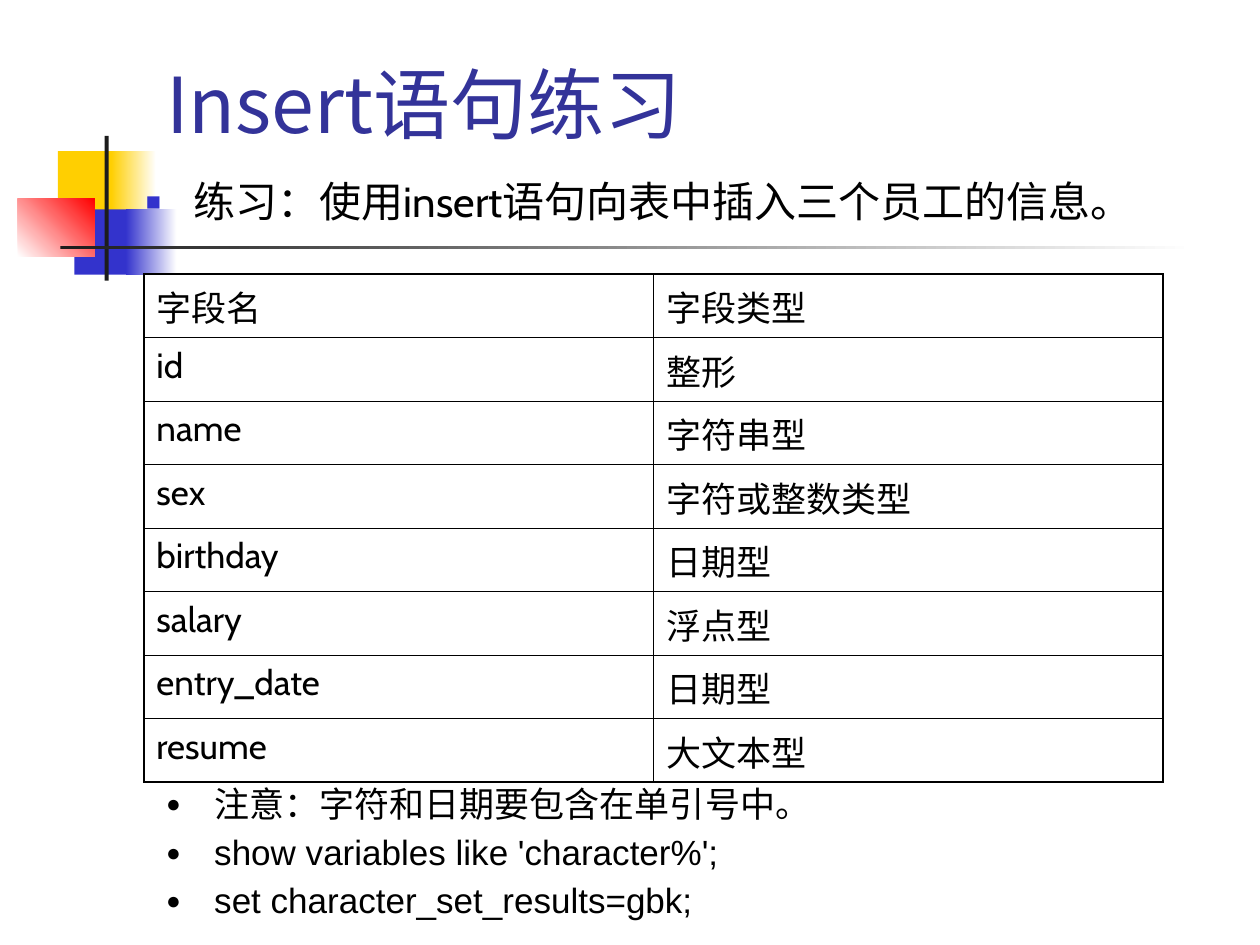
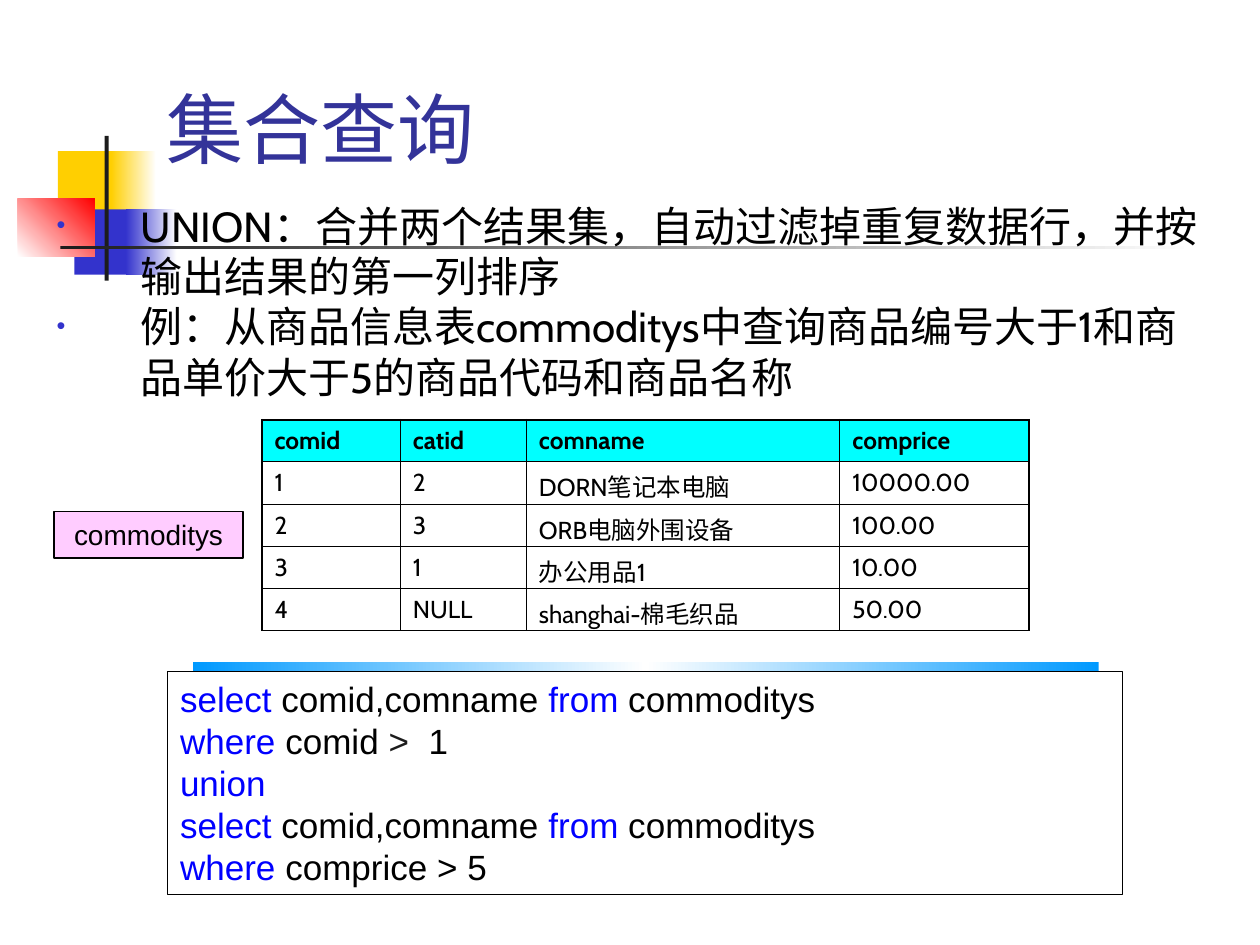
"""Build two SQL teaching slides: an insert exercise and a union query."""
import copy
import dataclasses

import lxml.etree
import pptx
import pptx.dml.color
import pptx.enum.shapes
import pptx.enum.text
import pptx.oxml.ns
import pptx.util

Cm = pptx.util.Cm
Pt = pptx.util.Pt
qn = pptx.oxml.ns.qn
ANCHOR = pptx.enum.text.MSO_ANCHOR
ALIGN = pptx.enum.text.PP_ALIGN


@dataclasses.dataclass(frozen=True)
class Theme:
    """Colours, fonts and type sizes of the deck."""
    ink: str = "000000"
    paper: str = "FFFFFF"
    dark: str = "1C1C1C"
    title: str = "333399"
    blue: str = "3333CC"
    gold: str = "FFCF01"
    red: str = "FF0000"
    key: str = "0000FF"
    sky: str = "0099FF"
    head: str = "00FFFF"
    pink: str = "FFCCFF"
    text: str = "Cabin"
    code: str = "Arial"
    cjk: str = "Noto Sans CJK SC"
    big: int = 44
    body: int = 24
    note: int = 20
    label: int = 16
    small: int = 14
    thick: float = 1.08
    thin: float = 0.45
    edge: float = 0.75


T = Theme()

DECOR = [
    ((1.17, 3.05, 1.22, 1.32), [T.gold], 0),
    ((2.24, 3.05, 0.91, 1.32), [T.gold, T.paper], 0),
    ((1.5, 4.22, 1.17, 1.32), [T.blue], 0),
    ((2.54, 4.22, 1.02, 1.32), [T.blue, T.paper], 0),
    ((0.36, 4.01, 1.55, 1.17), [T.paper, T.red], 45),
    ((2.11, 2.74, 0.08, 2.92), [T.dark], 0),
    ((1.22, 4.95, 22.86, 0.08), [T.dark, T.paper], 0),
]

TASK = ["练习：使用insert语句向表中插入三个员工的信息。"]
FIELDS = [
    ("字段名", "字段类型"),
    ("id", "整形"),
    ("name", "字符串型"),
    ("sex", "字符或整数类型"),
    ("birthday", "日期型"),
    ("salary", "浮点型"),
    ("entry_date", "日期型"),
    ("resume", "大文本型"),
]
NOTES = [
    "注意：字符和日期要包含在单引号中。",
    "show variables like 'character%';",
    "set character_set_results=gbk;",
]

UNION = [
    "UNION：合并两个结果集，自动过滤掉重复数据行，并按输出结果的第一列排序",
    "例：从商品信息表commoditys中查询商品编号大于1和商品单价大于5的商品代码和商品名称",
]
GOODS = [
    ("comid", "catid", "comname", "comprice"),
    ("1", "2", "DORN笔记本电脑", "10000.00"),
    ("2", "3", "ORB电脑外围设备", "100.00"),
    ("3", "1", "办公用品1", "10.00"),
    ("4", "NULL", "shanghai-棉毛织品", "50.00"),
]
SELECT = [("select", T.key), (" comid,comname ", T.ink),
          ("from", T.key), (" commoditys", T.ink)]
QUERY = [
    SELECT,
    [("where", T.key), (" comid ", T.ink), ("> ", T.dark), (" 1", T.ink)],
    [("union", T.key)],
    SELECT,
    [("where", T.key), (" comprice > 5", T.ink)],
]


def rgb(tone):
    """Turn a hex string into a colour."""
    return pptx.dml.color.RGBColor.from_string(tone)


def write(para, text, size, face, tone=T.ink, bold=False):
    """Add one run with its font."""
    run = para.add_run()
    run.text = text
    font = run.font
    font.size, font.name, font.bold = Pt(size), face, bold
    font.color.rgb = rgb(tone)
    east = lxml.etree.Element(qn("a:ea"), typeface=face)
    run._r.rPr.find(qn("a:latin")).addnext(east)


def lines(frame, count):
    """Yield the paragraphs of a frame, adding those it lacks."""
    for i in range(count):
        yield frame.add_paragraph() if i else frame.paragraphs[0]


def bullet(para, mark, tone, share, indent):
    """Give a paragraph a hanging bullet."""
    props = para._p.get_or_add_pPr()
    props.set("marL", str(Cm(indent)))
    props.set("indent", str(-Cm(indent)))
    add = lxml.etree.SubElement
    add(add(props, qn("a:buClr")), qn("a:srgbClr"), val=tone)
    add(props, qn("a:buSzPct"), val=str(share * 1000))
    add(props, qn("a:buFont"), typeface=T.code)
    add(props, qn("a:buChar"), char=mark)


def points(slide, box, items, look, size, face, lead=1.0, gap=0):
    """Add a text box of bulleted paragraphs."""
    frame = slide.shapes.add_textbox(*map(Cm, box)).text_frame
    frame.word_wrap = True
    for i, (para, item) in enumerate(zip(lines(frame, len(items)), items)):
        bullet(para, *look)
        para.line_spacing = lead
        para.space_before = Pt(gap if i else 0)
        write(para, item, size, face)


def block(slide, box, tones, angle=0, edge=None):
    """Add a rectangle with a plain or graded fill."""
    kind = pptx.enum.shapes.MSO_SHAPE.RECTANGLE
    shape = slide.shapes.add_shape(kind, *map(Cm, box))
    shape.shadow.inherit = False
    if edge:
        shape.line.color.rgb = rgb(edge)
        shape.line.width = Pt(T.edge)
    else:
        shape.line.fill.background()
    fill = shape.fill
    if len(tones) == 1:
        fill.solid()
        fill.fore_color.rgb = rgb(tones[0])
        return shape
    fill.gradient()
    fill.gradient_angle = angle
    stops = shape._element.spPr.find(".//" + qn("a:gsLst"))
    for _ in tones[2:]:
        stops.append(copy.deepcopy(stops[0]))
    for i, (stop, tone) in enumerate(zip(fill.gradient_stops, tones)):
        stop.position = i / (len(tones) - 1)
        stop.color.rgb = rgb(tone)
    return shape


def border(cell, widths):
    """Draw the four edges of a cell."""
    props = cell._tc.get_or_add_tcPr()
    for i, (side, width) in enumerate(zip("LRTB", widths)):
        edge = lxml.etree.Element(qn("a:ln" + side), w=str(Pt(width)))
        fill = lxml.etree.SubElement(edge, qn("a:solidFill"))
        lxml.etree.SubElement(fill, qn("a:srgbClr"), val=T.ink)
        props.insert(i, edge)


def grid(slide, left, top, wide, tall, rows, size, head=None):
    """Add a ruled table, lowering text that holds Chinese letters."""
    count, span = len(rows), len(wide)
    area = map(Cm, (left, top, sum(wide), tall * count))
    table = slide.shapes.add_table(count, span, *area).table
    table.first_row = table.horz_banding = False
    for col, width in zip(table.columns, wide):
        col.width = Cm(width)
    for r, row in enumerate(rows):
        table.rows[r].height = Cm(tall)
        for c, text in enumerate(row):
            cell = table.cell(r, c)
            cell.margin_top = Cm(0.13) + (0 if text.isascii() else Pt(size * 0.2))
            cell.margin_bottom = 0
            main = bool(head) and r == 0
            if main:
                cell.fill.solid()
                cell.fill.fore_color.rgb = rgb(head)
            else:
                cell.fill.background()
            outer = (c == 0, c == span - 1, r == 0, r == count - 1)
            border(cell, [T.thick if out else T.thin for out in outer])
            write(cell.text_frame.paragraphs[0], text, size, T.text, bold=main)


def start(deck, text, face, tall):
    """Add a slide with its title and the shared ornament."""
    slide = deck.slides.add_slide(deck.slide_layouts[5])
    title = slide.shapes.title
    title.left, title.top, title.width, title.height = map(
        Cm, (3.1, 0.91, 21.64, tall))
    frame = title.text_frame
    frame.auto_size = pptx.enum.text.MSO_AUTO_SIZE.NONE
    frame.vertical_anchor = ANCHOR.BOTTOM
    para = frame.paragraphs[0]
    para.alignment = ALIGN.LEFT
    write(para, text, T.big, face, T.title)
    for box, tones, angle in DECOR:
        block(slide, box, tones, angle)
    return slide


def insert(deck):
    """Build the insert exercise."""
    slide = start(deck, "Insert语句练习", T.cjk, 2.21)
    points(slide, (2.69, 3.53, 22, 1.17), TASK, ("■", T.blue, 60, 0.97),
           T.body, T.text, 0.9)
    grid(slide, 2.9, 5.53, (10.28, 10.27), 1.28, FIELDS, T.note)
    points(slide, (3.1, 15.72, 19.81, 2.9), NOTES, ("●", T.ink, 70, 0.97),
           T.note, T.code, 0.94, 5)


def union(deck):
    """Build the union query."""
    slide = start(deck, "集合查询", T.text, 2.72)
    points(slide, (0.89, 3.91, 23.6, 4.95), UNION, ("•", T.blue, 60, 1.7),
           T.body, T.text)
    block(slide, (3.89, 13.34, 18.26, 0.84), [T.sky, T.paper, T.sky])
    frame = block(slide, (3.38, 13.54, 19.25, 4.5), [T.paper],
                  edge=T.ink).text_frame
    frame.vertical_anchor = ANCHOR.TOP
    for para, runs in zip(lines(frame, len(QUERY)), QUERY):
        para.alignment = ALIGN.LEFT
        para.line_spacing = Pt(24)
        for text, tone in runs:
            write(para, text, T.note, T.code, tone)
    grid(slide, 5.28, 8.46, (2.79, 2.54, 6.32, 3.81), 0.85, GOODS,
         T.small, T.head)
    label = block(slide, (1.09, 10.31, 3.81, 0.94), [T.pink], edge=T.ink)
    para = label.text_frame.paragraphs[0]
    para.alignment = ALIGN.CENTER
    write(para, "commoditys", T.label, T.code)


def main():
    """Build and save the deck."""
    deck = pptx.Presentation()
    deck.slide_width, deck.slide_height = Cm(25.4), Cm(19.05)
    insert(deck)
    union(deck)
    deck.save("out.pptx")


if __name__ == "__main__":
    main()
